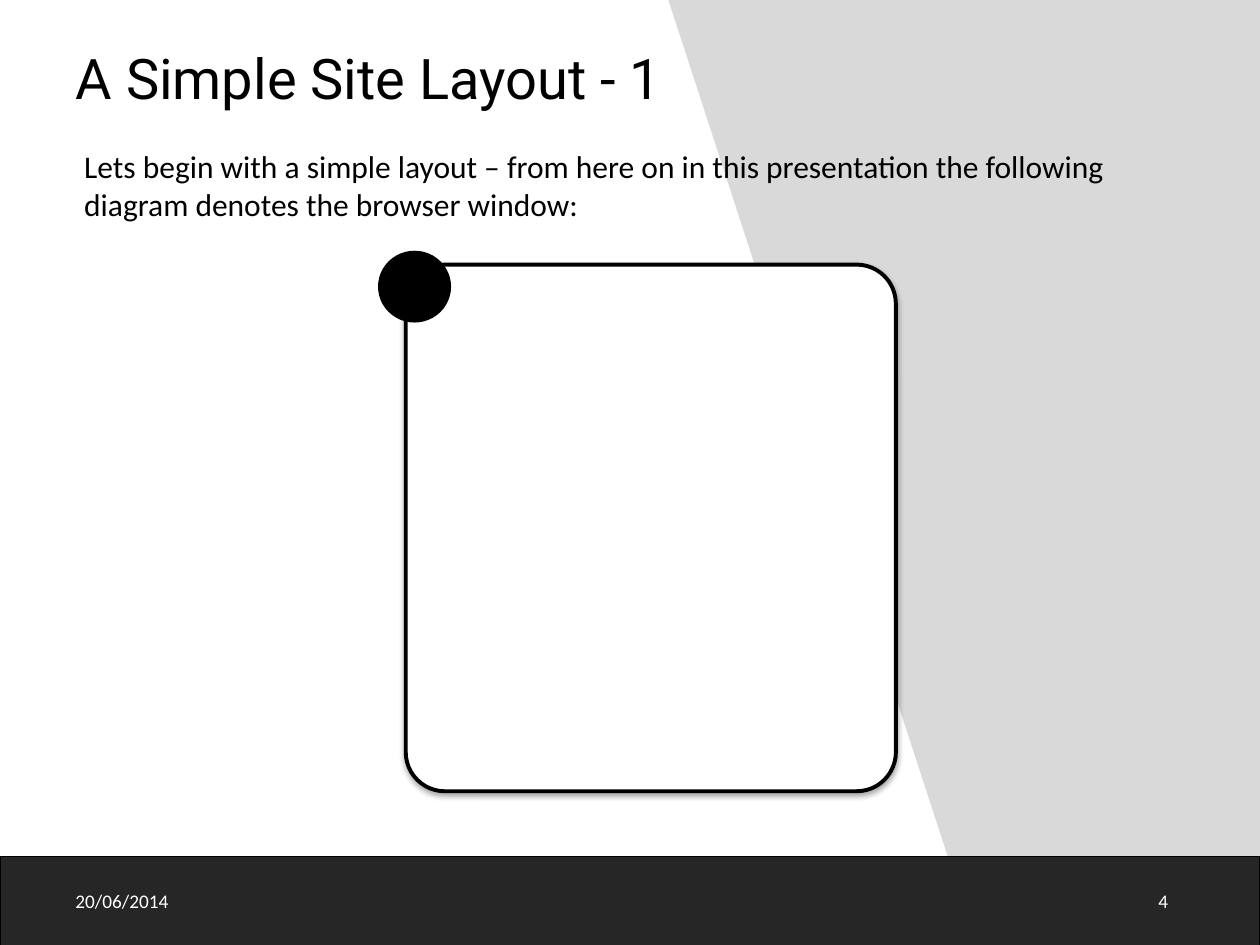
from lxml import etree
from pptx import Presentation
from pptx.dml.color import RGBColor
from pptx.enum.shapes import MSO_SHAPE
from pptx.enum.text import MSO_ANCHOR, PP_ALIGN
from pptx.oxml.ns import qn
from pptx.util import Inches, Pt

RECTANGLE, ROUNDED, OVAL = MSO_SHAPE.RECTANGLE, MSO_SHAPE.ROUNDED_RECTANGLE, MSO_SHAPE.OVAL
TOP, MIDDLE = MSO_ANCHOR.TOP, MSO_ANCHOR.MIDDLE
LEFT, RIGHT = PP_ALIGN.LEFT, PP_ALIGN.RIGHT
WIDTH, HEIGHT = 10, 7.5
BLACK, WHITE, GREY, CHARCOAL = "000000", "FFFFFF", "D9D9D9", "262626"
TITLE_ONLY = 5


def color(value):
    return RGBColor.from_string(value)


class SlideBuilder:
    """Holds the text style and the current slide."""

    style = {"name": "Calibri", "size": Pt(18), "bold": False}

    def __init__(self, deck):
        self.page = deck.slides.add_slide(deck.slide_layouts[TITLE_ONLY])

    def paint(self, shape, fill, line, width):
        shape.shadow.inherit = False
        shape.fill.solid()
        shape.fill.fore_color.rgb = color(fill)
        if line:
            shape.line.color.rgb = color(line)
            shape.line.width = Pt(width)
        else:
            shape.line.fill.background()
        return shape

    def shape(self, kind, place, fill, line=None, width=0.75):
        shape = self.page.shapes.add_shape(kind, *map(Inches, place))
        return self.paint(shape, fill, line, width)

    def outline(self, points, fill, line, width=0.75):
        start, *rest = [(Inches(x), Inches(y)) for x, y in points]
        builder = self.page.shapes.build_freeform(*start)
        builder.add_line_segments(rest, close=True)
        return self.paint(builder.convert_to_shape(), fill, line, width)

    def soft_shadow(self, shape):
        effects = shape.element.spPr.find(qn("a:effectLst"))
        shadow = etree.SubElement(effects, qn("a:outerShdw"), blurRad=str(Pt(3.1)),
                                  dist=str(Pt(1.8)), dir="5400000", rotWithShape="0")
        tint = etree.SubElement(shadow, qn("a:srgbClr"), val=BLACK)
        etree.SubElement(tint, qn("a:alpha"), val="35000")

    def fill_text(self, box, text, ink, anchor, align, **changes):
        frame = box.text_frame
        frame.word_wrap = True
        frame.vertical_anchor = anchor
        para = frame.paragraphs[0]
        para.alignment = align
        span = para.add_run()
        span.text = text
        for key, value in {**self.style, **changes}.items():
            setattr(span.font, key, value)
        span.font.color.rgb = color(ink)

    def text(self, place, text, ink=BLACK, anchor=TOP, align=LEFT, **changes):
        box = self.page.shapes.add_textbox(*map(Inches, place))
        self.fill_text(box, text, ink, anchor, align, **changes)

    def title(self, place, text):
        box = self.page.shapes.title
        for key, value in zip(("left", "top", "width", "height"), place):
            setattr(box, key, Inches(value))
        self.fill_text(box, text, BLACK, MIDDLE, LEFT, name="Roboto", size=Pt(32))
        # Bring the title in front of the backdrop
        box.element.getparent().append(box.element)


def main():
    deck = Presentation()
    deck.slide_width, deck.slide_height = Inches(WIDTH), Inches(HEIGHT)
    slide = SlideBuilder(deck)

    # Backdrop: slanted panel and footer band
    slide.outline([(5.31, 0), (WIDTH, 0), (WIDTH, 7.51), (7.76, 7.51)], GREY, GREY)
    slide.shape(RECTANGLE, (0, 6.8, WIDTH, 0.72), CHARCOAL, BLACK)

    # Title, footer and introduction
    slide.title((0.5, 0.3, 7.3, 0.63), "A Simple Site Layout - 1")
    for left, label, align in ((7.04, "4", RIGHT), (0.5, "20/06/2014", LEFT)):
        slide.text((left, 6.95, 2.33, 0.4), label, WHITE, MIDDLE, align, size=Pt(11))
    slide.text((0.57, 1.12, 9.05, 0.71),
               "Lets begin with a simple layout – from here on in this presentation "
               "the following diagram denotes the browser window:")

    # Browser window with its corner marker
    window = slide.shape(ROUNDED, (3.22, 2.1, 3.89, 4.18), WHITE, BLACK, 2.25)
    window.adjustments[0] = 0.08
    slide.soft_shadow(window)
    slide.shape(OVAL, (3, 1.99, 0.58, 0.57), BLACK)

    deck.save("out.pptx")


if __name__ == "__main__":
    main()
